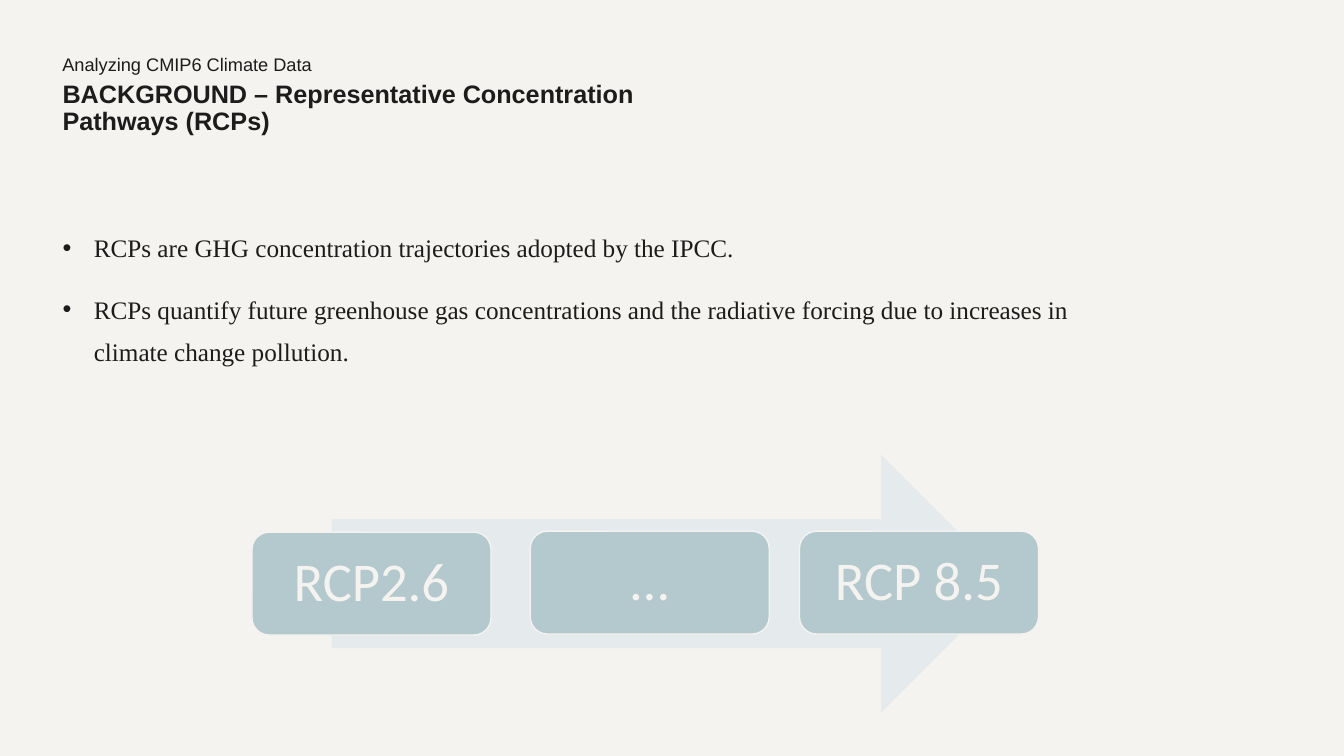
"""Build the slide on Representative Concentration Pathways."""
import dataclasses

import lxml.etree
import pptx
import pptx.dml.color
import pptx.enum.shapes
import pptx.enum.text
import pptx.oxml.ns
import pptx.util

Inches = pptx.util.Inches
Pt = pptx.util.Pt
Kind = pptx.enum.shapes.MSO_SHAPE
Align = pptx.enum.text.PP_ALIGN
Anchor = pptx.enum.text.MSO_ANCHOR


@dataclasses.dataclass(frozen=True)
class Theme:
    """Colours, fonts and type sizes."""
    paper: str = "F5F3EF"
    ink: str = "1C1C1C"
    arrow: str = "E5EBED"
    box: str = "B3C9CD"
    head: str = "Arial"
    text: str = "Times New Roman"
    label: str = "Calibri"
    small: int = 13
    body: int = 18
    large: int = 39


class Page:
    """Holds the theme and the current slide."""

    def __init__(self, deck, theme):
        """Add a slide with a plain background."""
        self.theme = theme
        self.slide = deck.slides.add_slide(deck.slide_layouts[1])
        self.paint(self.slide.background.fill, theme.paper)

    def paint(self, fill, tone):
        """Make a fill solid."""
        fill.solid()
        fill.fore_color.rgb = pptx.dml.color.RGBColor.from_string(tone)

    def place(self, item, left, top, width, height):
        """Move and size an item."""
        item.left, item.top = Inches(left), Inches(top)
        item.width, item.height = Inches(width), Inches(height)

    def frame(self, item, anchor):
        """Prepare the text frame of an item."""
        frame = item.text_frame
        frame.word_wrap = True
        frame.auto_size = pptx.enum.text.MSO_AUTO_SIZE.NONE
        frame.vertical_anchor = anchor
        return frame

    def letter(self, para, text, face, size, tone, bold=False,
               align=Align.LEFT, pitch=0.9):
        """Set one run in a paragraph."""
        para.alignment = align
        para.line_spacing = pitch
        para.space_before = Pt(0)
        run = para.add_run()
        run.text = text
        font = run.font
        font.name, font.size, font.bold = face, Pt(size), bold
        self.paint(font.fill, tone)

    def title(self, text, *area):
        """Fill the title placeholder."""
        item = self.slide.shapes.title
        self.place(item, *area)
        para = self.frame(item, Anchor.TOP).paragraphs[0]
        look = self.theme
        self.letter(para, text, look.head, look.body, look.ink, bold=True)

    def topic(self, text, *area):
        """Add the small line above the title."""
        item = self.slide.shapes.add_textbox(*map(Inches, area))
        para = self.frame(item, Anchor.BOTTOM).paragraphs[0]
        look = self.theme
        self.letter(para, text, look.head, look.small, look.ink)

    def points(self, lines, *area):
        """Fill the body placeholder with a bulleted list."""
        item = self.slide.placeholders[1]
        self.place(item, *area)
        frame = self.frame(item, Anchor.TOP)
        look = self.theme
        for rank, line in enumerate(lines):
            para = frame.add_paragraph() if rank else frame.paragraphs[0]
            props = para._p.get_or_add_pPr()
            props.set("marL", str(Inches(0.31)))
            props.set("indent", str(-Inches(0.31)))
            mark = pptx.oxml.ns.qn("a:buChar")
            lxml.etree.SubElement(props, mark).set("char", "•")
            para.space_after = Pt(14)
            self.letter(para, line, look.text, look.body, look.ink,
                        pitch=Pt(30))

    def shape(self, kind, tone, *area):
        """Add a flat preset shape without an outline."""
        item = self.slide.shapes.add_shape(kind, *map(Inches, area))
        item.shadow.inherit = False
        self.paint(item.fill, tone)
        item.line.fill.background()
        return item

    def box(self, text, *area):
        """Add a rounded box with a centred label."""
        look = self.theme
        item = self.shape(Kind.ROUNDED_RECTANGLE, look.box, *area)
        self.paint(item.line.fill, look.paper)
        item.line.width = Pt(1)
        frame = self.frame(item, Anchor.MIDDLE)
        frame.margin_left = frame.margin_right = Inches(0.21)
        frame.margin_top = frame.margin_bottom = Inches(0.21)
        self.letter(frame.paragraphs[0], text, look.label, look.large,
                    look.paper, align=Align.CENTER)


def main():
    """Build and save the deck."""
    deck = pptx.Presentation()
    deck.slide_width, deck.slide_height = Inches(13.33), Inches(7.5)
    theme = Theme()
    page = Page(deck, theme)
    page.topic("Analyzing CMIP6 Climate Data", 0.52, 0.26, 6.15, 0.54)
    page.title("BACKGROUND – Representative Concentration Pathways (RCPs)",
               0.52, 0.76, 6.15, 0.64)
    page.points([
        "RCPs are GHG concentration trajectories adopted by the IPCC.",
        "RCPs quantify future greenhouse gas concentrations and the radiative "
        "forcing due to increases in climate change pollution.",
    ], 0.52, 2.14, 10.81, 2.9)
    page.shape(Kind.RIGHT_ARROW, theme.arrow, 3.29, 4.51, 6.73, 2.56)
    steps = [("RCP2.6", 2.5, 5.28), ("…", 5.26, 5.27), ("RCP 8.5", 7.93, 5.27)]
    for text, left, top in steps:
        page.box(text, left, top, 2.37, 1.02)
    deck.save("out.pptx")


if __name__ == "__main__":
    main()
